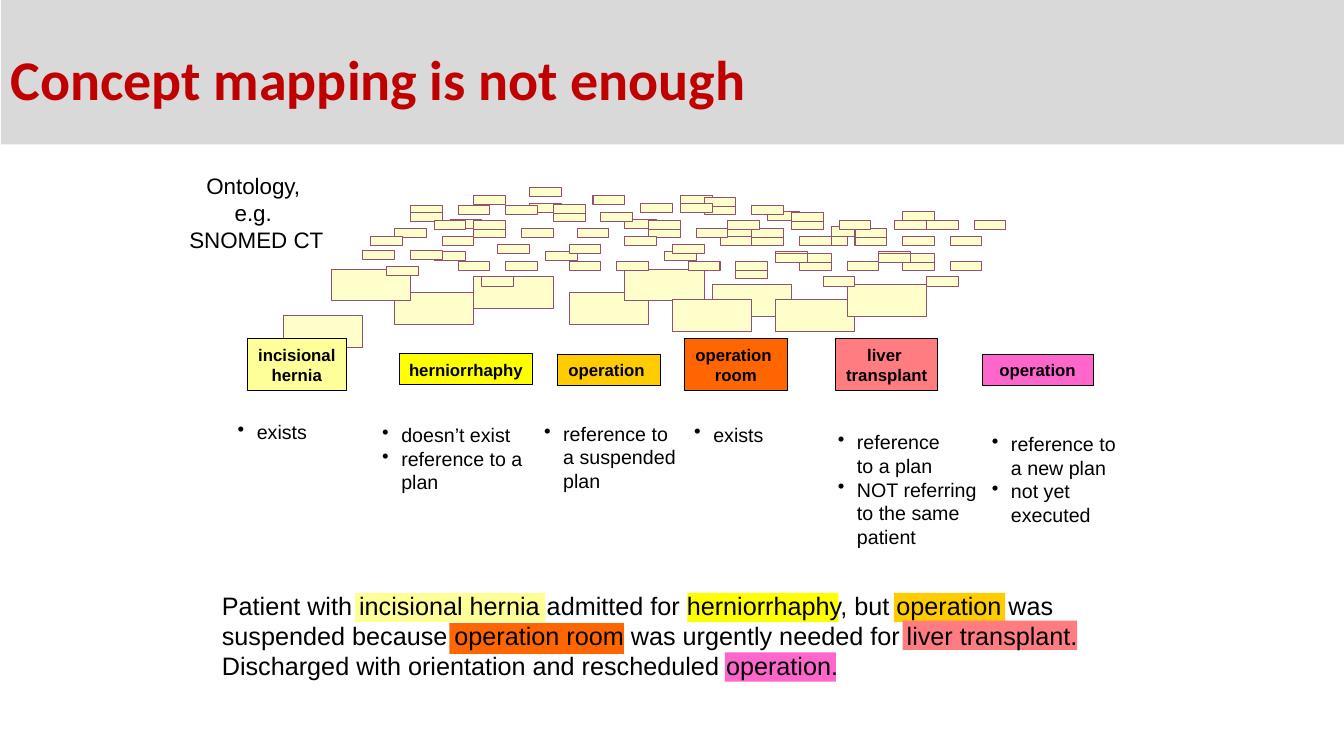
import lxml.etree
import pptx
import pptx.dml.color
import pptx.enum.shapes
import pptx.enum.text
import pptx.oxml.ns
import pptx.util

CELL = pptx.util.Mm(2)  # every length below counts grid cells of this size

COLORS = {
    "ink": "000000", "banner": "D9D9D9", "title": "C00000",
    "tile": "FFFFCC", "tile edge": "954F72",
    "hernia": "FFFF99", "herniorrhaphy": "FFFF00", "suspended": "FFCC00",
    "room": "FF6600", "transplant": "FF7C80", "rescheduled": "FF66CC",
}

# Column and row of each ontology tile, counted from TILE_ORIGIN
TILE_ORIGIN = (35.7, 23.6)
LARGE_TILES = [
    (0, 16.2), (14, 13.3), (36, 13.3), (24, 11.3), (6, 10.3),
    (43, 10.3), (54, 12.3), (49, 14.2), (62, 14.2), (71, 12.3),
]
SMALL_TILES = [
    (14, 5.2), (21, 4), (33, 8.1), (43, 4), (31, 2), (28, 2.3), (50, 1), (61, 3),
    (48, 8.1), (62, 8.1), (56, 5), (69, 5), (75, 8.1), (78, 3), (19, 8.1),
    (10, 8), (24, 5.2), (36, 9.3), (46, 5.2), (34, 3.2), (16, 2.3), (53, 2.3),
    (64, 4.2), (51, 9.3), (65, 9.3), (59, 6.2), (72, 6.2), (78, 9.3), (81, 4.2),
    (22, 9.3), (11, 6.2), (24, 4.2), (36, 7.2), (46, 4.2), (34, 2.2), (16, 3.2),
    (53, 1.3), (64, 3.2), (55, 6.2), (65, 8.3), (59, 5.2), (72, 5.2), (78, 8.3),
    (77, 4.2), (20, 6.2), (13, 10), (27, 7.2), (43, 6.2), (49, 7.2), (37, 5.2),
    (19, 4.2), (56, 4.2), (67, 6.2), (57, 10.3), (68, 11.3), (62, 8.3), (75, 8.3),
    (81, 11.3), (84, 6.2), (25, 11.3), (16, 8), (30, 5.2), (42, 9.3), (52, 5.2),
    (40, 3.2), (22, 2.3), (59, 2.3), (70, 4.2), (57, 9.3), (71, 9.3), (65, 6.2),
    (78, 6.2), (84, 9.3), (87, 4.2), (28, 9.3),
    (24, 1), (31, 0), (39, 1), (45, 2), (50, 2),
]

# Concept, text, label area, findings, findings area
CONCEPTS = [
    ("hernia", "incisional\nhernia", (31.2, 42.7, 12.4, 6.5),
     ["exists"], (29.7, 52.3, 16.3, 4.3)),
    ("herniorrhaphy", "herniorrhaphy", (50.3, 44.6, 16.8, 3.9),
     ["doesn’t exist", "reference to a plan"], (47.9, 52.7, 19.9, 10.3)),
    ("suspended", "operation ", (70.2, 44.7, 13, 3.9),
     ["reference to \na suspended\nplan"], (68.3, 52.5, 18, 10.3)),
    ("room", "operation \nroom", (86.2, 42.7, 13, 6.5),
     ["exists"], (87.2, 52.6, 14, 4.3)),
    ("transplant", "liver \ntransplant", (105.3, 42.7, 12.8, 6.5),
     ["reference\nto a plan", "NOT referring\nto the same\npatient"],
     (105.3, 53.6, 18, 16.3)),
    ("rescheduled", "operation", (123.7, 44.7, 14, 3.9),
     ["reference to a new plan", "not yet executed"], (124.7, 53.8, 18, 13.3)),
]

HIGHLIGHTS = {
    "hernia": (44.7, 74.7, 24, 3.7),
    "herniorrhaphy": (86.6, 74.7, 19, 3.7),
    "suspended": (112.6, 74.7, 14, 3.7),
    "room": (56.6, 78.5, 22, 3.9),
    "transplant": (113.7, 78.2, 22, 3.7),
    "rescheduled": (91.3, 82.2, 14, 3.7),
}

SENTENCE = (
    "Patient with incisional hernia admitted for herniorrhaphy, but operation was "
    "suspended because operation room was urgently needed for liver transplant. "
    "Discharged with orientation and rescheduled operation."
)


def rgb(name):
    return pptx.dml.color.RGBColor.from_string(COLORS[name])


def cells(*counts):
    return [pptx.util.Emu(round(count * CELL)) for count in counts]


class Board:
    """Holds the current slide and the style its elements share."""

    def __init__(self, page):
        self.page = page

    def rectangle(self, area, fill, edge=None):
        box = self.page.shapes.add_shape(
            pptx.enum.shapes.MSO_SHAPE.RECTANGLE, *cells(*area))
        box.shadow.inherit = False
        box.fill.solid()
        box.fill.fore_color.rgb = rgb(fill)
        if edge:
            box.line.color.rgb = rgb(edge)
            box.line.width = pptx.util.Pt(0.75)
        else:
            box.line.fill.background()
        return box

    def fill_text(self, box, texts, size, color="ink", font="Arial", bold=False,
                  align=pptx.enum.text.PP_ALIGN.LEFT,
                  anchor=pptx.enum.text.MSO_ANCHOR.TOP,
                  wrap=True, side=1.27, bullets=False):
        frame = box.text_frame
        frame.word_wrap = wrap
        frame.vertical_anchor = anchor
        frame.margin_left, frame.margin_right = cells(side, side)
        for index, text in enumerate(texts):
            para = frame.add_paragraph() if index else frame.paragraphs[0]
            para.text = text
            para.alignment = align
            if bullets:
                self.bullet(para)
            para.font.name = font
            para.font.size = pptx.util.Pt(size)
            para.font.bold = bold
            para.font.color.rgb = rgb(color)
        return frame

    def bullet(self, para):
        properties = para._p.get_or_add_pPr()
        indent, = cells(2.4)
        properties.set("marL", str(indent))
        properties.set("indent", str(-indent))
        mark = lxml.etree.SubElement(properties, pptx.oxml.ns.qn("a:buChar"))
        mark.set("char", "•")

    def text(self, area, texts, size, **style):
        box = self.page.shapes.add_textbox(*cells(*area))
        self.fill_text(box, texts, size, **style)

    def tiles(self, places, width, height):
        left, top = TILE_ORIGIN
        for column, row in places:
            self.rectangle((left + column, top + row, width, height), "tile", "tile edge")

    def concept(self, name, label, label_area, findings, findings_area):
        box = self.rectangle(label_area, name, "ink")
        self.fill_text(box, [label], 12, bold=True, wrap=False,
                       align=pptx.enum.text.PP_ALIGN.CENTER,
                       anchor=pptx.enum.text.MSO_ANCHOR.MIDDLE)
        self.text(findings_area, findings, 14, side=0.25, bullets=True)

    def banner(self, area, title):
        box = self.rectangle(area, "banner")
        frame = self.fill_text(box, [title], 40, color="title", font="Calibri",
                               bold=True, anchor=pptx.enum.text.MSO_ANCHOR.MIDDLE)
        frame.paragraphs[0].line_spacing = 1.2


def main():
    deck = pptx.Presentation()
    deck.slide_width = pptx.util.Inches(13.33)
    deck.slide_height = pptx.util.Inches(7.5)
    board = Board(deck.slides.add_slide(deck.slide_layouts[6]))

    board.tiles(LARGE_TILES, 10, 4)
    board.tiles(SMALL_TILES, 4, 1.15)
    for concept in CONCEPTS:
        board.concept(*concept)
    for name, area in HIGHLIGHTS.items():
        board.rectangle(area, name)
    board.text((26.7, 73.7, 121.5, 12.8), [SENTENCE], 18)
    board.text((22.6, 21.1, 19.4, 11.4), ["Ontology, \ne.g. \nSNOMED CT"], 16, wrap=False,
               align=pptx.enum.text.PP_ALIGN.CENTER,
               anchor=pptx.enum.text.MSO_ANCHOR.MIDDLE)
    board.banner((0.1, -0.2, 169.3, 18.4), "Concept mapping is not enough")
    deck.save("out.pptx")


if __name__ == "__main__":
    main()
